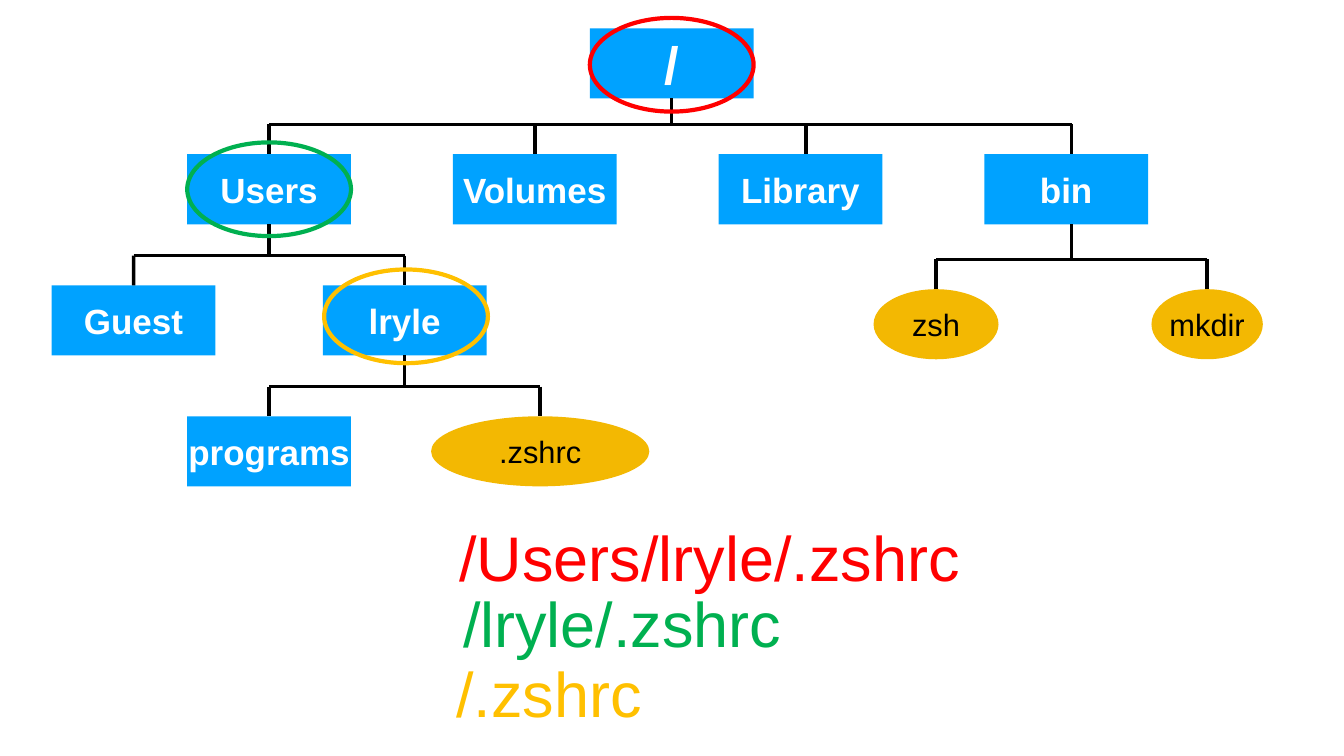
from dataclasses import dataclass

from lxml.etree import SubElement
from pptx import Presentation
from pptx.dml.color import RGBColor
from pptx.enum.shapes import MSO_CONNECTOR as Connector, MSO_SHAPE as Shape
from pptx.enum.text import MSO_ANCHOR as Anchor, MSO_AUTO_SIZE as AutoSize, PP_ALIGN as Align
from pptx.oxml.ns import qn
from pptx.util import Inches, Pt


@dataclass(frozen=True)
class Theme:
    font: str = "Arial"
    folder: str = "00A2FF"
    file: str = "F3B802"
    light: str = "FFFFFF"
    dark: str = "000000"
    red: str = "FF0000"
    green: str = "00B050"
    amber: str = "FFC000"
    root_size: int = 75
    folder_size: int = 50
    file_size: int = 44
    route_size: int = 90
    branch_width: int = 5
    ring_width: int = 6


@dataclass(frozen=True)
class Node:
    name: str
    column: float
    row: float
    width: float = 3.25
    is_file: bool = False
    shift: float = 0  # sideways offset of the branches from the node's centre
    children: tuple = ()


THEME = Theme()
WIDTH, HEIGHT = 26.67, 15
LEFT, COLUMN = 2.65, 2.69  # centre of the first column, column pitch
TOP, ROW = 0.46, 2.6  # top of the first row, row pitch
NODE_HEIGHT, RING_HEIGHT = 1.39, 1.86
BUS_GAP = 0.59  # from the horizontal branch down to the children

LRYLE = Node("lryle", 2, 2, children=(
    Node("programs", 1, 3), Node(".zshrc", 3, 3, 4.33, True)))
USERS = Node("Users", 1, 1, children=(Node("Guest", 0, 2), LRYLE))
BIN = Node("bin", 6.88, 1, shift=0.11, children=(
    Node("zsh", 5.92, 2.03, 2.48, True), Node("mkdir", 7.92, 2.03, 2.21, True)))
ROOT = Node("/", 3.97, 0.04, children=(
    USERS, Node("Volumes", 2.96, 1), Node("Library", 4.92, 1, shift=0.11), BIN))


def color(value):
    return RGBColor.from_string(value)


def center_x(column):
    return LEFT + column * COLUMN


def row_top(row):
    return TOP + row * ROW


def style_text(paragraph, size, value, bold=False):
    font = paragraph.font
    font.name, font.size, font.bold = THEME.font, Pt(size), bold
    font.color.rgb = color(value)


def add_node(slide, node):
    kind = Shape.OVAL if node.is_file else Shape.RECTANGLE
    shape = slide.shapes.add_shape(
        kind, Inches(center_x(node.column) - node.width / 2), Inches(row_top(node.row)),
        Inches(node.width), Inches(NODE_HEIGHT))
    shape.shadow.inherit = False
    shape.fill.solid()
    shape.fill.fore_color.rgb = color(THEME.file if node.is_file else THEME.folder)
    shape.line.fill.background()
    frame = shape.text_frame
    frame.margin_left = frame.margin_right = frame.margin_top = frame.margin_bottom = 0
    frame.vertical_anchor, frame.word_wrap = Anchor.MIDDLE, False
    paragraph = frame.paragraphs[0]
    paragraph.text, paragraph.alignment = node.name, Align.CENTER
    if node.is_file:
        style_text(paragraph, THEME.file_size, THEME.dark)
    else:
        size = THEME.root_size if node is ROOT else THEME.folder_size
        style_text(paragraph, size, THEME.light, bold=True)
    return shape


def add_branch(slide, x1, y1, x2, y2):
    branch = slide.shapes.add_connector(
        Connector.STRAIGHT, Inches(x1), Inches(y1), Inches(x2), Inches(y2))
    branch.line.width = Pt(THEME.branch_width)
    branch.line.color.rgb = color(THEME.dark)
    SubElement(branch._element.spPr, qn("a:effectLst"))
    return branch


def add_tree(slide, node):
    """Draw a node with everything below it and return the node's shape."""
    shape = add_node(slide, node)
    if not node.children:
        return shape
    bus = row_top(node.children[0].row) - BUS_GAP

    # Stem from the parent down to the horizontal branch
    x = center_x(node.column) + node.shift
    stem = add_branch(slide, x, row_top(node.row) + NODE_HEIGHT, x, bus)
    if not node.shift:
        stem.begin_connect(shape, 2)

    # Drops to the children
    drops = [center_x(child.column) + child.shift for child in node.children]
    for child, drop_x in zip(node.children, drops):
        child_shape = add_tree(slide, child)
        drop = add_branch(slide, drop_x, bus, drop_x, row_top(child.row))
        if not child.shift:
            drop.end_connect(child_shape, 0)
    add_branch(slide, min(drops), bus, max(drops), bus)
    return shape


def add_ring(slide, column, row, value):
    top = row_top(row) + (NODE_HEIGHT - RING_HEIGHT) / 2
    ring = slide.shapes.add_shape(
        Shape.OVAL, Inches(center_x(column) - ROOT.width / 2), Inches(top),
        Inches(ROOT.width), Inches(RING_HEIGHT))
    ring.shadow.inherit = False
    ring.fill.background()
    ring.line.width = Pt(THEME.ring_width)
    ring.line.color.rgb = color(value)


def add_route(slide, text, left, top, value):
    box = slide.shapes.add_textbox(
        Inches(left), Inches(top), Inches(WIDTH * 0.52), Inches(HEIGHT * 0.108))
    frame = box.text_frame
    frame.word_wrap, frame.auto_size = True, AutoSize.SHAPE_TO_FIT_TEXT
    frame.margin_top = frame.margin_bottom = Inches(0.09)
    frame.text = text
    style_text(frame.paragraphs[0], THEME.route_size, value)


def main():
    presentation = Presentation()
    presentation.slide_width, presentation.slide_height = Inches(WIDTH), Inches(HEIGHT)
    slide = presentation.slides.add_slide(presentation.slide_layouts[6])

    # Directory tree
    add_tree(slide, ROOT)

    # Rings around the directories where the routes start
    for column, row, value in (
            (ROOT.column, 0.05, THEME.red),
            (USERS.column, USERS.row, THEME.green),
            (2.01, 1.97, THEME.amber)):
        add_ring(slide, column, row, value)

    # Route from each ringed directory to the file
    for text, left, top, value in (
            ("/Users/lryle/.zshrc", 9.02, 10.2, THEME.red),
            ("/lryle/.zshrc", 9.09, 11.5, THEME.green),
            ("/.zshrc", 8.96, 12.89, THEME.amber)):
        add_route(slide, text, left, top, value)

    presentation.save("out.pptx")


if __name__ == "__main__":
    main()
